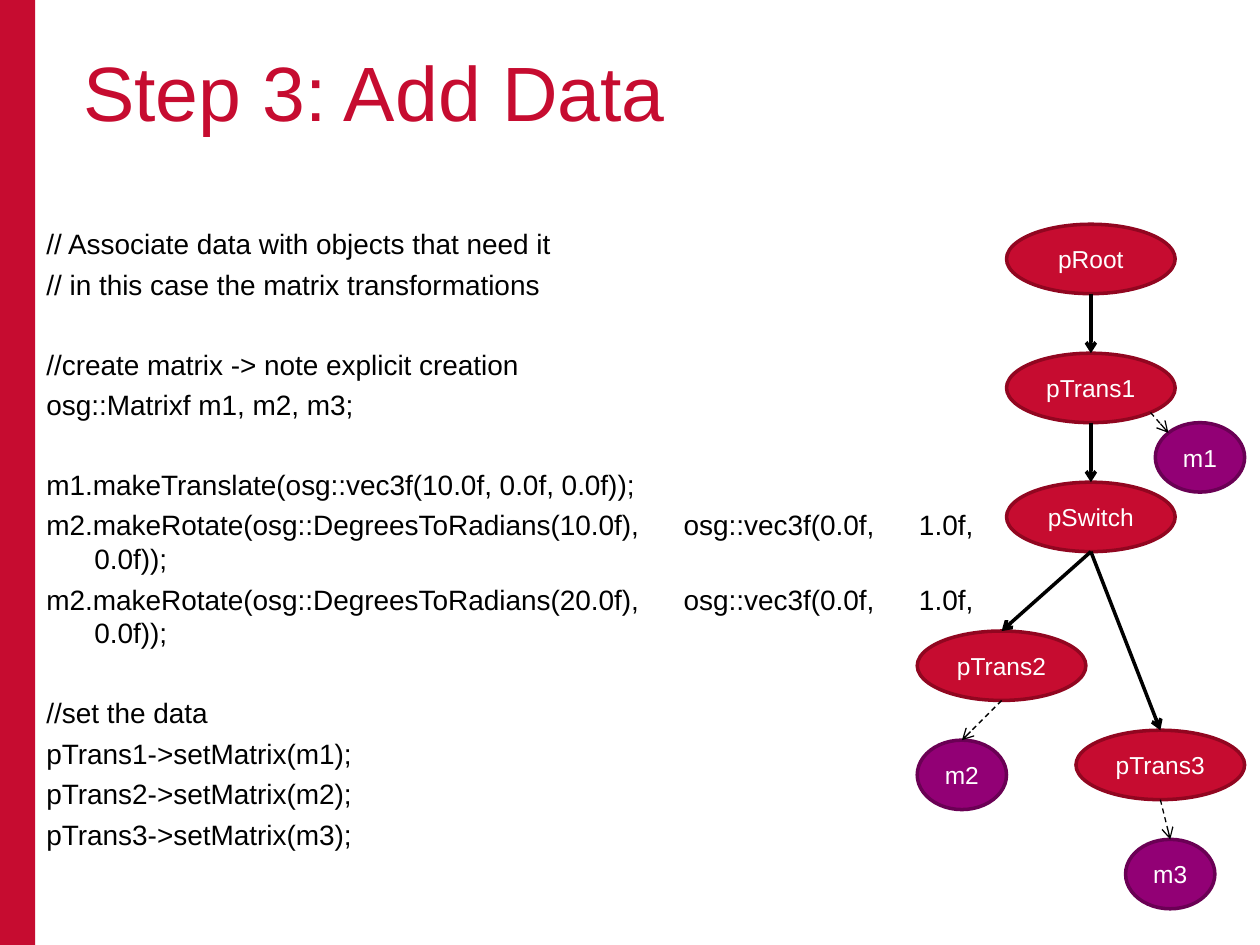
from math import sqrt

from lxml.etree import SubElement
from pptx import Presentation
from pptx.dml.color import RGBColor
from pptx.enum.dml import MSO_LINE
from pptx.enum.shapes import MSO_CONNECTOR, MSO_SHAPE
from pptx.enum.text import MSO_ANCHOR, PP_ALIGN
from pptx.oxml.ns import qn
from pptx.util import Cm, Inches, Pt

RED = RGBColor(0xC6, 0x0C, 0x30)
DARK_RED = RGBColor(0x91, 0x06, 0x20)
PURPLE = RGBColor(0x92, 0x00, 0x75)
DARK_PURPLE = RGBColor(0x6A, 0x00, 0x54)
BLACK = RGBColor(0, 0, 0)
WHITE = RGBColor(0xFF, 0xFF, 0xFF)

FONT = "Arial"
UNIT = Cm(0.2)
GRAPH_LEFT, GRAPH_TOP = Inches(7.28), Inches(1.78)
NODE_WIDTH, MATRIX_WIDTH, NODE_HEIGHT = 17, 9, 7
LINE_GAP, BLOCK_GAP = Pt(4), Pt(26.4)

# Name: (column, row) on the graph's grid
NODES = {
    "pRoot": (9, 0),
    "pTrans1": (9, 13),
    "pTrans2": (0, 41),
    "pTrans3": (16, 51),
    "pSwitch": (9, 26),
}
MATRICES = {"m1": (24, 20), "m2": (0, 52), "m3": (21, 62)}
CHILD_LINKS = [
    ("pRoot", "pTrans1"),
    ("pTrans1", "pSwitch"),
    ("pSwitch", "pTrans2"),
    ("pSwitch", "pTrans3"),
]
DATA_LINKS = [("pTrans2", "m2"), ("pTrans3", "m3")]

CODE_BLOCKS = [
    ["// Associate data with objects that need it",
     "// in this case the matrix transformations"],
    ["//create matrix -> note explicit creation",
     "osg::Matrixf m1, m2, m3;"],
    ["m1.makeTranslate(osg::vec3f(10.0f, 0.0f, 0.0f));",
     "m2.makeRotate(osg::DegreesToRadians(10.0f), osg::vec3f(0.0f, 1.0f, 0.0f));",
     "m2.makeRotate(osg::DegreesToRadians(20.0f), osg::vec3f(0.0f, 1.0f, 0.0f));"],
    ["//set the data",
     "pTrans1->setMatrix(m1);",
     "pTrans2->setMatrix(m2);",
     "pTrans3->setMatrix(m3);"],
]


def set_font(para, size, color):
    para.font.name = FONT
    para.font.size = Pt(size)
    para.font.color.rgb = color


def add_side_bar(page, height):
    bar = page.shapes.add_shape(MSO_SHAPE.RECTANGLE, 0, 0, Inches(0.28), height)
    bar.shadow.inherit = False
    bar.fill.solid()
    bar.fill.fore_color.rgb = RED
    bar.line.fill.background()


def write_title(page, text):
    title = page.shapes.title
    title.left, title.top = Inches(0.56), Inches(0.3)
    title.width, title.height = Inches(8.94), Inches(1.61)
    title.text_frame.text = text
    title.text_frame.vertical_anchor = MSO_ANCHOR.TOP
    para = title.text_frame.paragraphs[0]
    para.alignment = PP_ALIGN.LEFT
    set_font(para, 44, RED)


def add_code(page):
    box = page.shapes.add_textbox(Inches(0.27), Inches(1.75), Inches(7.56), Inches(5.15))
    frame = box.text_frame
    frame.word_wrap = True
    para = frame.paragraphs[0]
    for block_number, block in enumerate(CODE_BLOCKS):
        for line_number, line in enumerate(block):
            if block_number or line_number:
                para = frame.add_paragraph()
                para.space_before = LINE_GAP if line_number else BLOCK_GAP
            para.text = line
            para.alignment = PP_ALIGN.JUSTIFY
            properties = para._p.get_or_add_pPr()
            properties.set("marL", str(Inches(0.38)))
            properties.set("indent", str(-Inches(0.38)))
            set_font(para, 16, BLACK)


def add_ellipse(page, name, cell, columns, fill, outline):
    column, row = cell
    ellipse = page.shapes.add_shape(
        MSO_SHAPE.OVAL, GRAPH_LEFT + column * UNIT, GRAPH_TOP + row * UNIT,
        columns * UNIT, NODE_HEIGHT * UNIT)
    ellipse.shadow.inherit = False
    ellipse.fill.solid()
    ellipse.fill.fore_color.rgb = fill
    ellipse.line.color.rgb = outline
    ellipse.line.width = Pt(2)
    frame = ellipse.text_frame
    frame.word_wrap = True
    frame.vertical_anchor = MSO_ANCHOR.MIDDLE
    frame.text = name
    para = frame.paragraphs[0]
    para.alignment = PP_ALIGN.CENTER
    set_font(para, 14, WHITE)
    return ellipse


def rim_point(ellipse, across, down):
    """Point on the ellipse, given as shares of its half width and half height."""
    return (int(ellipse.left + ellipse.width / 2 * (1 + across)),
            int(ellipse.top + ellipse.height / 2 * (1 + down)))


def add_arrow(page, start, end, dashed=False):
    arrow = page.shapes.add_connector(MSO_CONNECTOR.STRAIGHT, *start, *end)
    arrow.line.color.rgb = BLACK
    arrow.line.width = Pt(0.75 if dashed else 2)
    if dashed:
        arrow.line.dash_style = MSO_LINE.DASH
    SubElement(arrow.line._get_or_add_ln(), qn("a:tailEnd"), type="arrow")
    SubElement(arrow._element.spPr, qn("a:effectLst"))
    return arrow


def link_down(page, parent, child, dashed=False):
    """Arrow from the bottom of the parent to the top of the child."""
    arrow = add_arrow(page, rim_point(parent, 0, 1), rim_point(child, 0, -1), dashed)
    arrow.end_connect(child, 0)


def add_graph(page):
    ellipses = {name: add_ellipse(page, name, cell, NODE_WIDTH, RED, DARK_RED)
                for name, cell in NODES.items()}
    for parent, child in CHILD_LINKS:
        link_down(page, ellipses[parent], ellipses[child])

    for name, cell in MATRICES.items():
        ellipses[name] = add_ellipse(page, name, cell, MATRIX_WIDTH, PURPLE, DARK_PURPLE)
    diagonal = sqrt(0.5)
    add_arrow(page, rim_point(ellipses["pTrans1"], diagonal, diagonal),
              rim_point(ellipses["m1"], -diagonal, -diagonal), dashed=True)
    for node, matrix in DATA_LINKS:
        link_down(page, ellipses[node], ellipses[matrix], dashed=True)


def main():
    deck = Presentation()
    deck.slide_width, deck.slide_height = Inches(10), Inches(7.5)
    page = deck.slides.add_slide(deck.slide_layouts[5])
    add_side_bar(page, deck.slide_height)
    write_title(page, "Step 3: Add Data")
    add_code(page)
    add_graph(page)
    deck.save("out.pptx")


if __name__ == "__main__":
    main()
